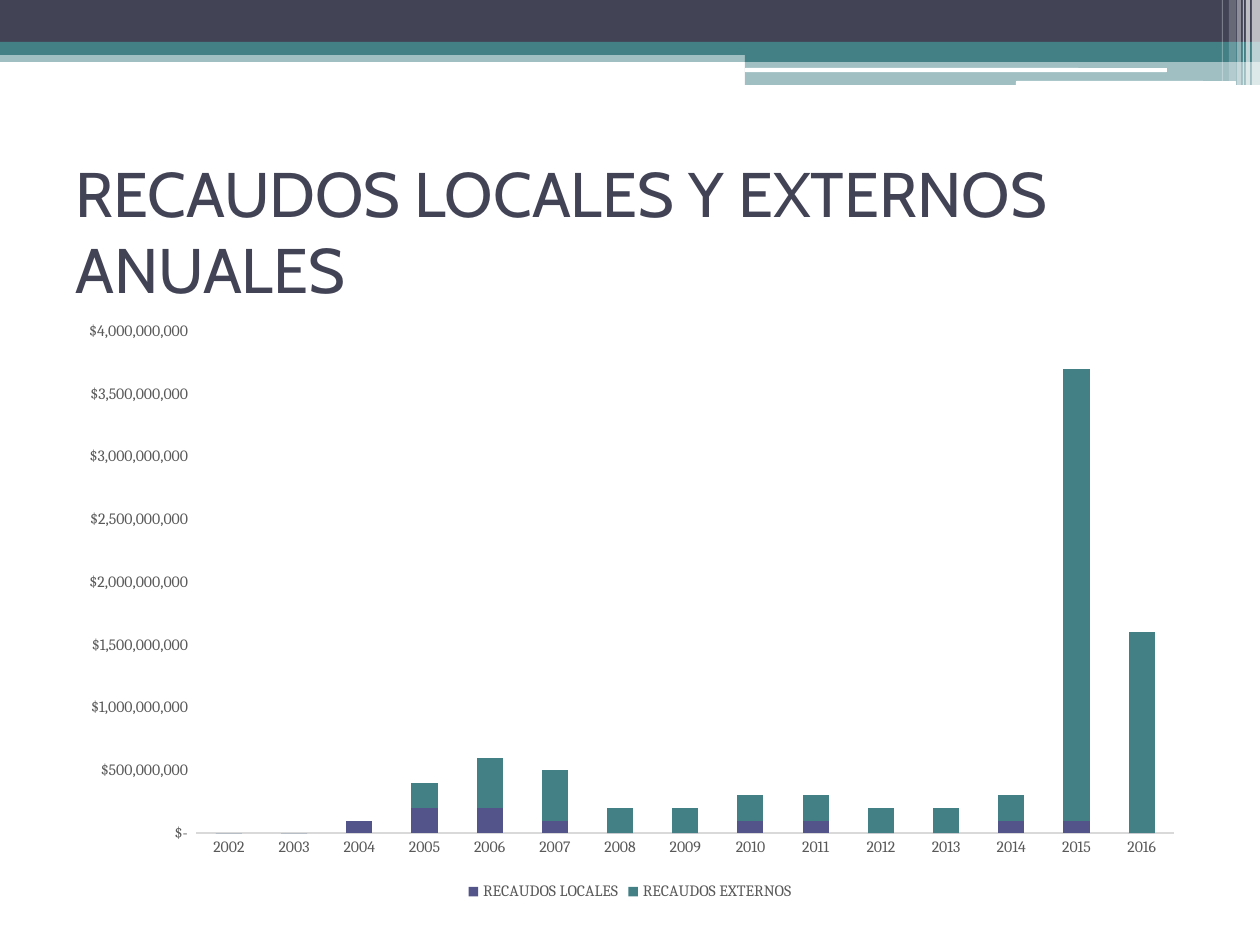
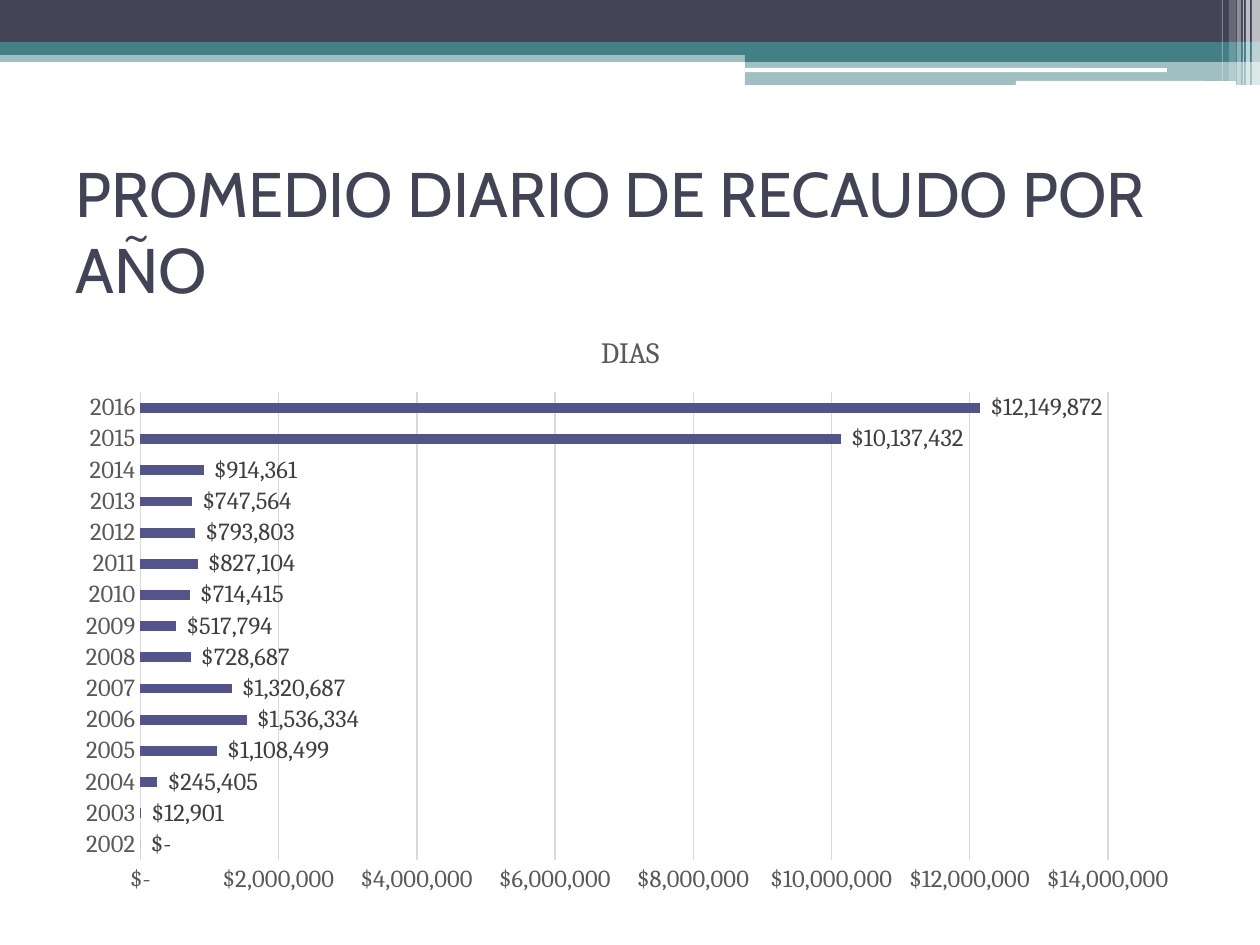
from lxml import etree
from pptx import Presentation
from pptx.chart.data import CategoryChartData
from pptx.dml.color import RGBColor
from pptx.enum.chart import XL_CHART_TYPE, XL_LABEL_POSITION, XL_LEGEND_POSITION, XL_TICK_MARK
from pptx.enum.shapes import MSO_SHAPE
from pptx.enum.text import MSO_ANCHOR
from pptx.oxml.ns import qn
from pptx.util import Pt

PX = 914400 // 126
RECT, ROUND = MSO_SHAPE.RECTANGLE, MSO_SHAPE.ROUNDED_RECTANGLE
STACK, BAR = XL_CHART_TYPE.COLUMN_STACKED, XL_CHART_TYPE.BAR_CLUSTERED
NO_TICK = XL_TICK_MARK.NONE
BOTTOM = XL_LEGEND_POSITION.BOTTOM
OUTSIDE = XL_LABEL_POSITION.OUTSIDE_END
MIDDLE = MSO_ANCHOR.MIDDLE

DARK, TEAL, VIOLET, WHITE = "424456", "438086", "53548A", "FFFFFF"
GRAY, RULE, LABEL = "595959", "D9D9D9", "404040"
MONEY = '_("$"* #,##0_);_("$"* \\(#,##0\\);_("$"* "-"_);_(@_)'
YEARS = [str(year) for year in range(2002, 2017)]

BANDS = [
    (RECT, 0, 50, 1260, 12, TEAL, 50),
    (RECT, 0, 0, 1260, 42, DARK, 100),
    (RECT, 0, 42, 1260, 13, TEAL, 100),
    (RECT, 745, 49, 515, 13, TEAL, 100),
    (RECT, 745, 61, 515, 24, TEAL, 50),
    (ROUND, 745, 68, 422, 4, WHITE, 100),
    (ROUND, 1016, 81, 220, 5, WHITE, 100),
    (RECT, 1252, 0, 8, 85, WHITE, 65),
    (RECT, 1246, 0, 4, 85, WHITE, 65),
    (RECT, 1243, 0, 1, 85, WHITE, 60),
    (RECT, 1237, 0, 4, 85, WHITE, 40),
    (RECT, 1229, 0, 7, 81, WHITE, 20),
    (RECT, 1222, 0, 1, 81, WHITE, 30),
]

LOCAL = [0, 0, 1, 2, 2, 1, 0, 0, 1, 1, 0, 0, 1, 1, 0]
OUTER = [0, 0, 0, 2, 4, 4, 2, 2, 2, 2, 2, 2, 2, 36, 16]
DAILY = [0, 12901, 245405, 1108499, 1536334, 1320687, 728687, 517794,
         714415, 827104, 793803, 747564, 914361, 10137432, 12149872]

PAGES = [
    {"title": "RECAUDOS LOCALES Y EXTERNOS ANUALES", "kind": STACK, "size": 9,
     "gap": 150, "top": 4_000_000_000, "step": 500_000_000,
     "rows": [("RECAUDOS LOCALES", [n * 100_000_000 for n in LOCAL], VIOLET),
              ("RECAUDOS EXTERNOS", [n * 100_000_000 for n in OUTER], TEAL)]},
    {"title": "PROMEDIO DIARIO DE RECAUDO POR AÑO", "kind": BAR, "size": 14,
     "gap": 219, "top": 14_000_000, "step": 2_000_000,
     "rows": [("DIAS", DAILY, VIOLET)]},
]


def color(code):
    return RGBColor.from_string(code)


def style(font, face, size, code):
    values = {"name": face, "size": Pt(size), "bold": False}
    for key, value in values.items():
        setattr(font, key, value)
    font.color.rgb = color(code)


deck = Presentation()
deck.slide_width, deck.slide_height = 1260 * PX, 945 * PX

for page in PAGES:
    slide = deck.slides.add_slide(deck.slide_layouts[6])

    for form, left, top, width, height, code, alpha in BANDS:
        band = slide.shapes.add_shape(form, left * PX, top * PX, width * PX, height * PX)
        band.shadow.inherit = False
        band.line.fill.background()
        band.fill.solid()
        band.fill.fore_color.rgb = color(code)
        if alpha < 100:
            tone = band.fill._xPr.find(".//" + qn("a:srgbClr"))
            etree.SubElement(tone, qn("a:alpha")).set("val", str(alpha * 1000))

    frame = slide.shapes.add_textbox(63 * PX, 157 * PX, 1134 * PX, 147 * PX).text_frame
    frame.word_wrap = True
    frame.vertical_anchor = MIDDLE
    run = frame.paragraphs[0].add_run()
    run.text = page["title"]
    style(run.font, "Cabin", 36, DARK)

    data = CategoryChartData(number_format=MONEY)
    data.categories = YEARS
    for name, values, code in page["rows"]:
        data.add_series(name, values)
    chart = slide.shapes.add_chart(
        page["kind"], 63 * PX, 310 * PX, 1134 * PX, 596 * PX, data).chart
    style(chart.font, "Cambria", page["size"], GRAY)

    plot = chart.plots[0]
    plot.vary_by_categories = False
    plot.gap_width = page["gap"]
    for row, (name, values, code) in zip(plot.series, page["rows"]):
        row.format.fill.solid()
        row.format.fill.fore_color.rgb = color(code)
        row.invert_if_negative = False

    years, money = chart.category_axis, chart.value_axis
    for axis in (years, money):
        axis.major_tick_mark = axis.minor_tick_mark = NO_TICK
        style(axis.tick_labels.font, "Cambria", page["size"], GRAY)
    scale = {"minimum_scale": 0, "maximum_scale": page["top"],
             "major_unit": page["step"], "has_major_gridlines": page["kind"] == BAR}
    for key, value in scale.items():
        setattr(money, key, value)
    money.tick_labels.number_format = MONEY
    money.tick_labels.number_format_is_linked = False
    money.format.line.fill.background()
    rules = [years.format.line]

    if page["kind"] == STACK:
        plot.overlap = 100
        chart.has_title = False
        chart.has_legend = True
        chart.legend.position = BOTTOM
        chart.legend.include_in_layout = False
        style(chart.legend.font, "Cambria", 9, GRAY)
    else:
        rules.append(money.major_gridlines.format.line)
        chart.has_legend = False
        chart.has_title = True
        head = chart.chart_title.text_frame.paragraphs[0].add_run()
        head.text = page["rows"][0][0]
        style(head.font, "Cambria", 16.8, GRAY)
        plot.has_data_labels = True
        marks = {"show_value": True, "position": OUTSIDE,
                 "number_format": MONEY, "number_format_is_linked": False}
        for key, value in marks.items():
            setattr(plot.data_labels, key, value)
        style(plot.data_labels.font, "Cambria", 14, LABEL)

    for rule in rules:
        rule.width = Pt(0.75)
        rule.color.rgb = color(RULE)

deck.save("out.pptx")
